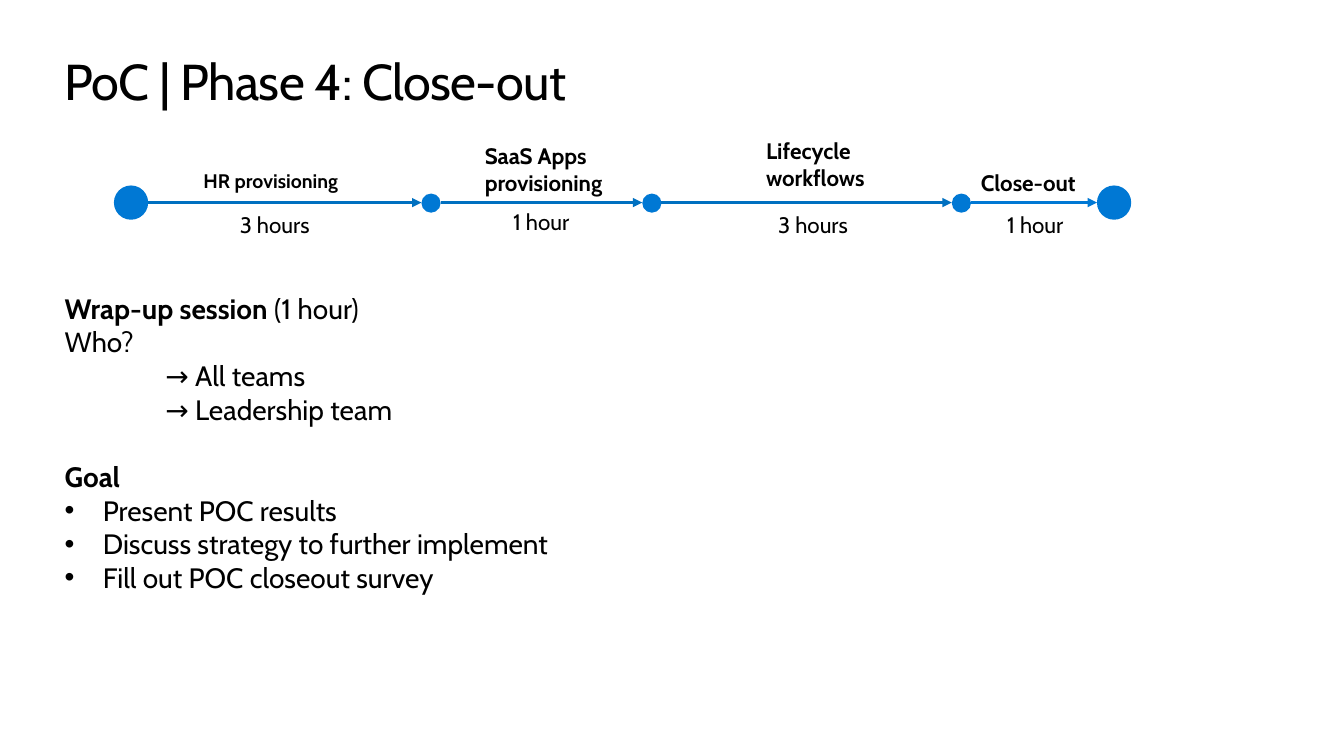
from lxml import etree
from pptx import Presentation
from pptx.dml.color import RGBColor
from pptx.enum.shapes import MSO_CONNECTOR, MSO_SHAPE
from pptx.enum.text import MSO_ANCHOR, MSO_AUTO_SIZE, PP_ALIGN
from pptx.oxml.ns import qn
from pptx.util import Pt

PX = 9144  # EMU per px, at 100 px to the inch
FONT = "Cabin"
BLACK = RGBColor(0x00, 0x00, 0x00)
DOT_BLUE = RGBColor(0x00, 0x78, 0xD4)
LINE_BLUE = RGBColor(0x00, 0x70, 0xC0)

AXIS_Y = 201
# Milestones: left edge, diameter
MILESTONES = [(113, 34), (418, 19), (637, 19), (944, 19), (1088, 34)]
# Phases: name, its box, size in pt, duration, its left and top, arrow colour
PHASES = [
    ("HR provisioning", (192, 163, 210, 34), 14, "3 hours", (228, 205), LINE_BLUE),
    ("SaaS Apps provisioning", (471, 136, 174, 64), 16, "1 hour", (499, 202), LINE_BLUE),
    ("Lifecycle workflows", (750, 131, 174, 64), 16, "3 hours", (762, 205), LINE_BLUE),
    ("Close-out", (963, 163, 131, 37), 16, "1 hour", (989, 205), DOT_BLUE),
]

# Paragraph styles: left margin and first-line indent in px, bullet or not
PLAIN, ARROW, BULLET = (0, 0, False), (100, 0, False), (38, -38, True)
# Session: style, space before in pt, runs of (text, bold)
SESSION = [
    (PLAIN, 0, [("Wrap-up session ", True), ("(1 hour)", False)]),
    (PLAIN, 0, [("Who?", False)]),
    (ARROW, 0, [("→ All teams", False)]),
    (ARROW, 0, [("→ Leadership team", False)]),
    (PLAIN, 24, [("Goal", True)]),
    (BULLET, 0, [("Present POC results", False)]),
    (BULLET, 0, [("Discuss strategy to further implement", False)]),
    (BULLET, 0, [("Fill out POC closeout survey", False)]),
]


def set_all(target, values):
    for key, value in values.items():
        setattr(target, key, value)


def place(placeholder, left, top, width, height):
    set_all(placeholder, {"left": left * PX, "top": top * PX,
                          "width": width * PX, "height": height * PX})
    set_all(placeholder.text_frame, {
        "margin_left": 0, "margin_top": 0, "margin_right": 0, "margin_bottom": 0,
        "word_wrap": True, "auto_size": MSO_AUTO_SIZE.NONE,
        "vertical_anchor": MSO_ANCHOR.TOP})


def add_run(paragraph, text, size, bold=False):
    run = paragraph.add_run()
    run.text = text
    set_all(run.font, {"name": FONT, "size": Pt(size), "bold": bold})
    run.font.color.rgb = BLACK
    return run


def add_label(slide, text, box, size, bold=False):
    frame = slide.shapes.add_textbox(*(n * PX for n in box)).text_frame
    frame.word_wrap = True
    add_run(frame.paragraphs[0], text, size, bold)


def add_milestone(slide, left, diameter):
    dot = slide.shapes.add_shape(
        MSO_SHAPE.OVAL, left * PX, (AXIS_Y - diameter // 2) * PX,
        diameter * PX, diameter * PX)
    dot.shadow.inherit = False
    dot.fill.solid()
    dot.fill.fore_color.rgb = DOT_BLUE
    dot.line.fill.background()


def add_arrow(slide, start, end, color):
    arrow = slide.shapes.add_connector(
        MSO_CONNECTOR.STRAIGHT, start * PX, AXIS_Y * PX, end * PX, AXIS_Y * PX)
    arrow.line.color.rgb = color
    arrow.line.width = Pt(2.25)
    etree.SubElement(arrow.line._get_or_add_ln(), qn("a:tailEnd"), type="triangle")
    etree.SubElement(arrow._element.spPr, qn("a:effectLst"))


def fill_title(title):
    place(title, 64, 50, 1205, 61)
    heading = title.text_frame.paragraphs[0]
    heading.alignment = PP_ALIGN.LEFT
    run = add_run(heading, "PoC | Phase 4: Close-out", 36)
    run.font._element.set("spc", "-50")


def fill_session(body):
    place(body, 64, 289, 1109, 303)
    frame = body.text_frame
    for i, ((margin, indent, bulleted), gap, runs) in enumerate(SESSION):
        paragraph = frame.add_paragraph() if i else frame.paragraphs[0]
        set_all(paragraph, {"space_before": Pt(gap), "space_after": Pt(0),
                            "line_spacing": 1.0})
        properties = paragraph._p.get_or_add_pPr()
        properties.set("marL", str(margin * PX))
        properties.set("indent", str(indent * PX))
        if not bulleted:
            etree.SubElement(properties, qn("a:buNone"))
        for text, bold in runs:
            add_run(paragraph, text, 20, bold)


def add_timeline(slide):
    for left, diameter in MILESTONES:
        add_milestone(slide, left, diameter)
    spans = zip(MILESTONES, MILESTONES[1:])
    for phase, ((left, diameter), (end, _)) in zip(PHASES, spans):
        name, name_box, size, duration, duration_at, color = phase
        add_arrow(slide, left + diameter, end, color)
        add_label(slide, name, name_box, size, bold=True)
        add_label(slide, duration, (*duration_at, 94, 37), 16)


def main():
    deck = Presentation()
    set_all(deck, {"slide_width": 1333 * PX, "slide_height": 750 * PX})
    slide = deck.slides.add_slide(deck.slide_layouts[1])
    fill_title(slide.shapes.title)
    fill_session(slide.placeholders[1])
    add_timeline(slide)
    deck.save("out.pptx")


if __name__ == "__main__":
    main()
